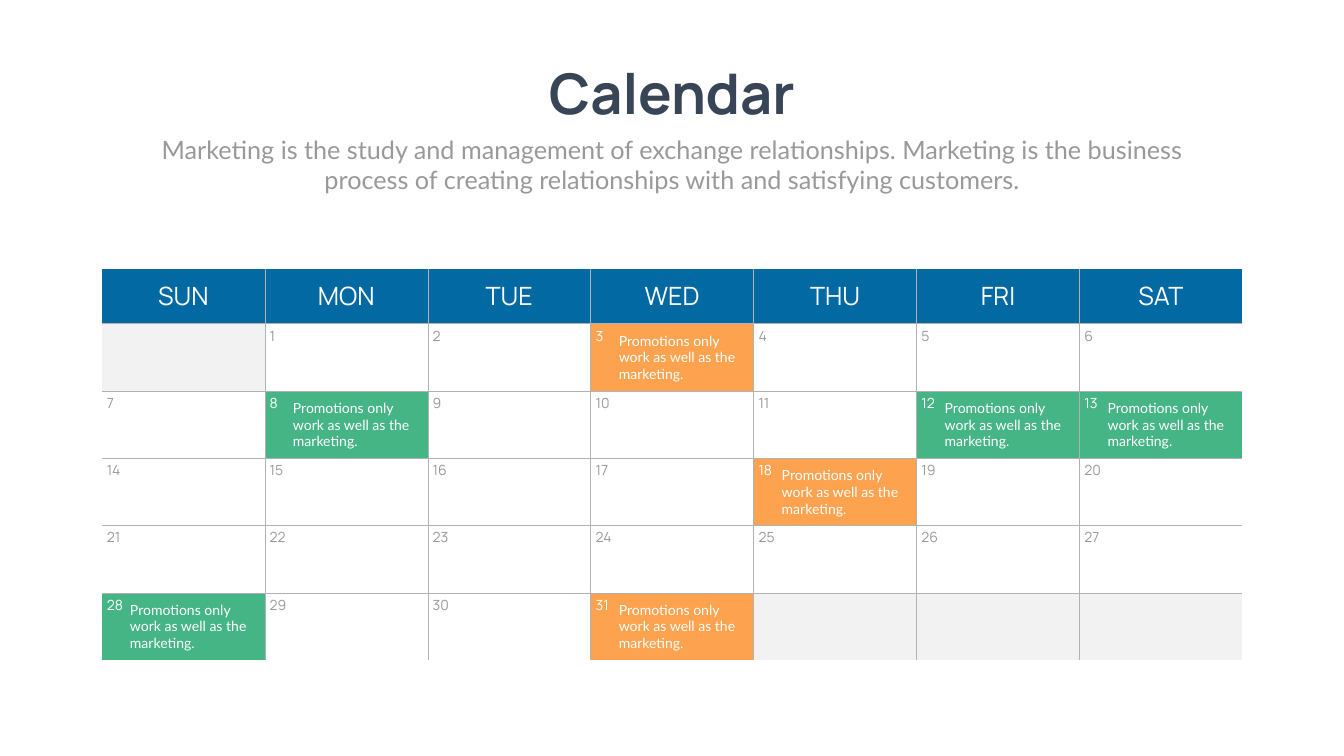
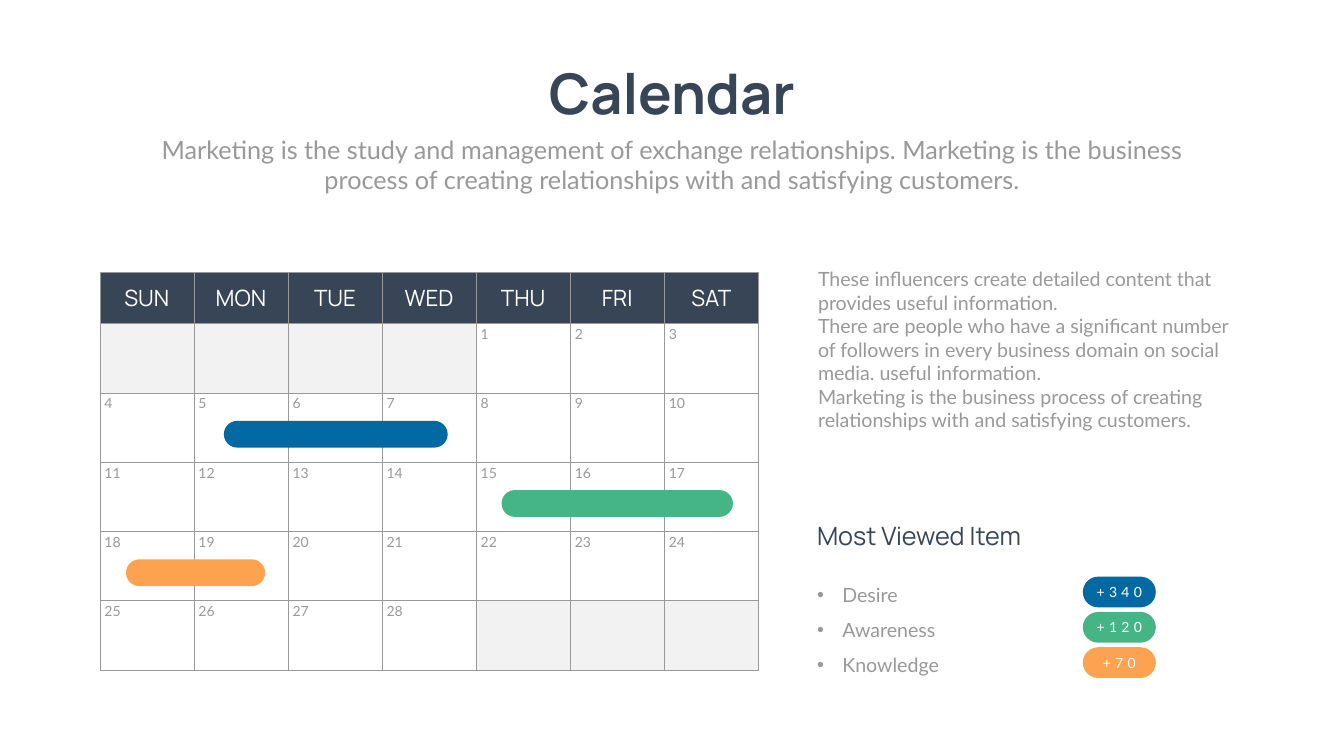
"""Build two calendar slides: a month of promotions and a month with campaign bars."""
from lxml.etree import SubElement
from pptx import Presentation
from pptx.dml.color import RGBColor
from pptx.enum.shapes import MSO_SHAPE
from pptx.enum.text import MSO_ANCHOR, MSO_AUTO_SIZE, PP_ALIGN
from pptx.oxml import parse_xml
from pptx.oxml.ns import nsdecls, qn
from pptx.util import Cm, Pt

PAPER = RGBColor(0xFE, 0xFF, 0xFE)
WHITE = RGBColor(0xFF, 0xFF, 0xFF)
SLATE = RGBColor(0x37, 0x45, 0x56)
GRAY = RGBColor(0x99, 0x99, 0x99)
RULE_GRAY = RGBColor(0xB2, 0xB2, 0xB2)
EMPTY_GRAY = RGBColor(0xF2, 0xF2, 0xF2)
BLUE = RGBColor(0x03, 0x69, 0xA2)
GREEN = RGBColor(0x46, 0xB5, 0x86)
ORANGE = RGBColor(0xFD, 0xA2, 0x4E)

WEEKDAYS = ["SUN", "MON", "TUE", "WED", "THU", "FRI", "SAT"]
WEEKS = 5
SUBTITLE = (
    "Marketing is the study and management of exchange relationships. "
    "Marketing is the business process of creating relationships with and "
    "satisfying customers."
)
PROMOTION = "Promotions only work as well as the marketing."
INFLUENCERS = [
    "These influencers create detailed content that provides useful information.",
    "There are people who have a significant number of followers in every "
    "business domain on social media. useful information.",
    "Marketing is the business process of creating relationships with and "
    "satisfying customers.",
]
PROMOTION_DAYS = {
    3: ORANGE, 8: GREEN, 12: GREEN, 13: GREEN, 18: ORANGE, 28: GREEN, 31: ORANGE,
}
CAMPAIGN_BARS = [(11.28, 11.28, BLUE), (25.27, 11.66, GREEN), (6.35, 7.01, ORANGE)]
VIEWED_ITEMS = [
    ("Desire", "+340", BLUE), ("Awareness", "+120", GREEN), ("Knowledge", "+70", ORANGE),
]


class CalendarDeck:
    """Holds the shared style and the slide being built."""

    def __init__(self):
        self.presentation = Presentation()
        self.presentation.slide_width = Cm(67.72)
        self.presentation.slide_height = Cm(38.1)
        background = self.presentation.slide_master.background.fill
        background.solid()
        background.fore_color.rgb = PAPER
        self.slide = None

    def add_slide(self, layout_index):
        layout = self.presentation.slide_layouts[layout_index]
        self.slide = self.presentation.slides.add_slide(layout)
        self.placeholder(0, (26.75, 2.84, 14.22, 3.68), ["Calendar"], 80, SLATE,
                         name="Manrope", bold=True, align=PP_ALIGN.CENTER, wrap=False)
        self.placeholder(1, (7.42, 6.63, 52.88, 3.33), [SUBTITLE], 36, GRAY,
                         align=PP_ALIGN.CENTER)

    def add_lines(self, frame, lines, size, color, name="Lato", bold=False,
                  align=PP_ALIGN.LEFT, bullet=None, line_spacing=1.0, tracking=None):
        for index, line in enumerate(lines):
            paragraph = frame.paragraphs[0] if index == 0 else frame.add_paragraph()
            properties = paragraph._p.get_or_add_pPr()
            indent = Cm(1.27) if bullet else 0
            properties.set("marL", str(indent))
            properties.set("indent", str(-indent))
            if bullet:
                SubElement(properties, qn("a:buFont"), typeface="Arial")
                SubElement(properties, qn("a:buChar"), char=bullet)
            else:
                SubElement(properties, qn("a:buNone"))
            layout = {"alignment": align, "line_spacing": line_spacing,
                      "space_before": Pt(0), "space_after": Pt(0)}
            for attribute, value in layout.items():
                setattr(paragraph, attribute, value)
            run = paragraph.add_run()
            run.text = line
            for attribute, value in {"name": name, "size": Pt(size), "bold": bold}.items():
                setattr(run.font, attribute, value)
            run.font.color.rgb = color
            if tracking:
                run._r.get_or_add_rPr().set("spc", str(tracking * 100))

    def fill_box(self, shape, lines, size, color, wrap=True, **style):
        frame = shape.text_frame
        settings = {"word_wrap": wrap, "auto_size": MSO_AUTO_SIZE.SHAPE_TO_FIT_TEXT,
                    "vertical_anchor": MSO_ANCHOR.TOP}
        for attribute, value in settings.items():
            setattr(frame, attribute, value)
        self.add_lines(frame, lines, size, color, **style)

    def placeholder(self, index, bounds, lines, size, color, **style):
        shape = self.slide.placeholders[index]
        for attribute, value in zip(("left", "top", "width", "height"), bounds):
            setattr(shape, attribute, Cm(value))
        self.fill_box(shape, lines, size, color, **style)

    def text_box(self, bounds, lines, size, color, **style):
        shape = self.slide.shapes.add_textbox(*map(Cm, bounds))
        self.fill_box(shape, lines, size, color, **style)

    def pill(self, bounds, color, label=None):
        shape = self.slide.shapes.add_shape(MSO_SHAPE.ROUNDED_RECTANGLE, *map(Cm, bounds))
        shape.adjustments[0] = 0.5
        shape.shadow.inherit = False
        shape.fill.solid()
        shape.fill.fore_color.rgb = color
        shape.line.fill.background()
        if label:
            shape.text_frame.word_wrap = False
            shape.text_frame.vertical_anchor = MSO_ANCHOR.MIDDLE
            self.add_lines(shape.text_frame, [label], 20, WHITE,
                           align=PP_ALIGN.CENTER, tracking=6)

    def borders(self, cell, color, width, sides):
        properties = cell._tc.get_or_add_tcPr()
        for position, side in enumerate("LRTB"):
            paint = (f'<a:solidFill><a:srgbClr val="{color}"/></a:solidFill>'
                     if side in sides else "<a:noFill/>")
            line = parse_xml(f'<a:ln{side} {nsdecls("a")} w="{Pt(width)}">{paint}</a:ln{side}>')
            properties.insert(position, line)

    def calendar(self, origin, column_width, header_height, week_height, first_column,
                 day_count, header_color, header_size, day_font, rule_color, rule_width,
                 framed, margins, highlights):
        columns, rows = len(WEEKDAYS), WEEKS + 1
        table = self.slide.shapes.add_table(
            rows, columns, *map(Cm, origin), Cm(column_width * columns),
            Cm(header_height + week_height * WEEKS)).table
        table.first_row = table.horz_banding = False
        for column in table.columns:
            column.width = Cm(column_width)
        for index, row in enumerate(table.rows):
            row.height = Cm(week_height if index else header_height)
        for index, cell in enumerate(table.iter_cells()):
            row, column = divmod(index, columns)
            day = index - columns - first_column + 1
            for side, value in zip(("left", "right", "top", "bottom"), margins):
                setattr(cell, f"margin_{side}", Cm(value))
            fill = EMPTY_GRAY
            if row == 0:
                fill = header_color
                cell.vertical_anchor = MSO_ANCHOR.MIDDLE
                self.add_lines(cell.text_frame, [WEEKDAYS[column]], header_size, WHITE,
                               name="Manrope", align=PP_ALIGN.CENTER)
            elif 1 <= day <= day_count:
                fill = highlights.get(day, WHITE)
                self.add_lines(cell.text_frame, [str(day)], 20,
                               WHITE if day in highlights else GRAY, name=day_font)
            cell.fill.solid()
            cell.fill.fore_color.rgb = fill
            inner = {"L": column > 0, "R": column < columns - 1,
                     "T": row > 0, "B": row < rows - 1}
            sides = [side for side, shown in inner.items() if shown or framed]
            self.borders(cell, rule_color, rule_width, sides)


def promotion_month(deck):
    deck.add_slide(1)
    left, top, column_width, header_height, week_height = 5.13, 13.54, 8.21, 2.77, 3.39
    first_column = 1
    deck.calendar((left, top), column_width, header_height, week_height, first_column, 31,
                  BLUE, 36, "Manrope", RULE_GRAY, 0.5, False,
                  (0.25, 0.25, 0.13, 0.13), PROMOTION_DAYS)
    for day in PROMOTION_DAYS:
        week, column = divmod(day + first_column - 1, len(WEEKDAYS))
        note_left = left + column * column_width + 1.17
        note_top = top + header_height + week * week_height + 0.3
        deck.text_box((note_left, note_top, 6.68, 2.82), [PROMOTION], 20, WHITE)


def campaign_month(deck):
    deck.add_slide(3)
    week_height = 3.49
    deck.calendar((5.03, 13.74), 4.74, 2.57, week_height, 4, 28,
                  SLATE, 32, "Lato", GRAY, 1, True, (0.23, 0.23, 0.11, 0.11), {})
    for index, (left, width, color) in enumerate(CAMPAIGN_BARS):
        deck.pill((left, 21.21 + index * week_height, width, 1.35), color)
    deck.text_box((40.97, 13.34, 21.72, 8.64), INFLUENCERS, 28, GRAY)
    deck.text_box((40.92, 26.11, 14.22, 1.8), ["Most Viewed Item"], 36, SLATE, name="Manrope")
    deck.placeholder(2, (40.92, 28.65, 10.49, 5.41), [item[0] for item in VIEWED_ITEMS],
                     28, GRAY, bullet="•", line_spacing=1.5)
    for index, (_, views, color) in enumerate(VIEWED_ITEMS):
        deck.pill((54.56, 29.06 + index * 1.78, 3.68, 1.55), color, views)


def main():
    deck = CalendarDeck()
    promotion_month(deck)
    campaign_month(deck)
    deck.presentation.save("out.pptx")


if __name__ == "__main__":
    main()
